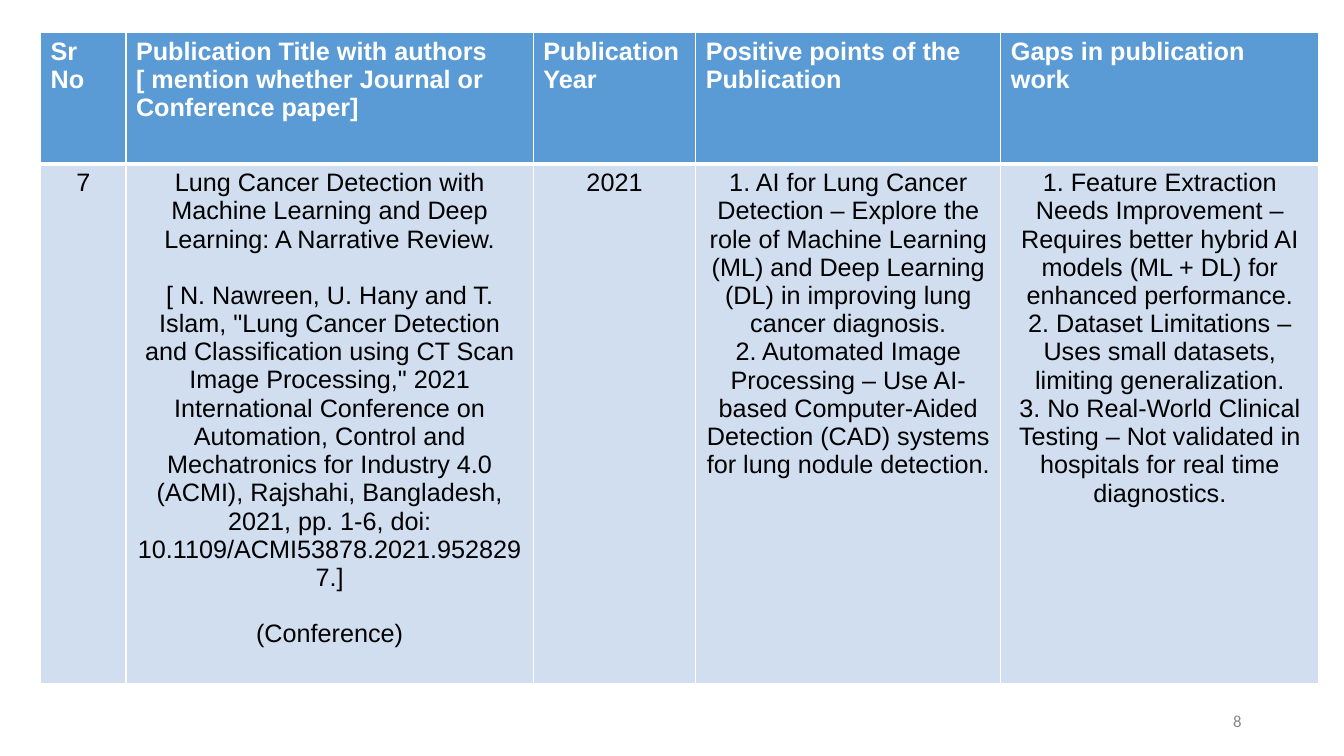
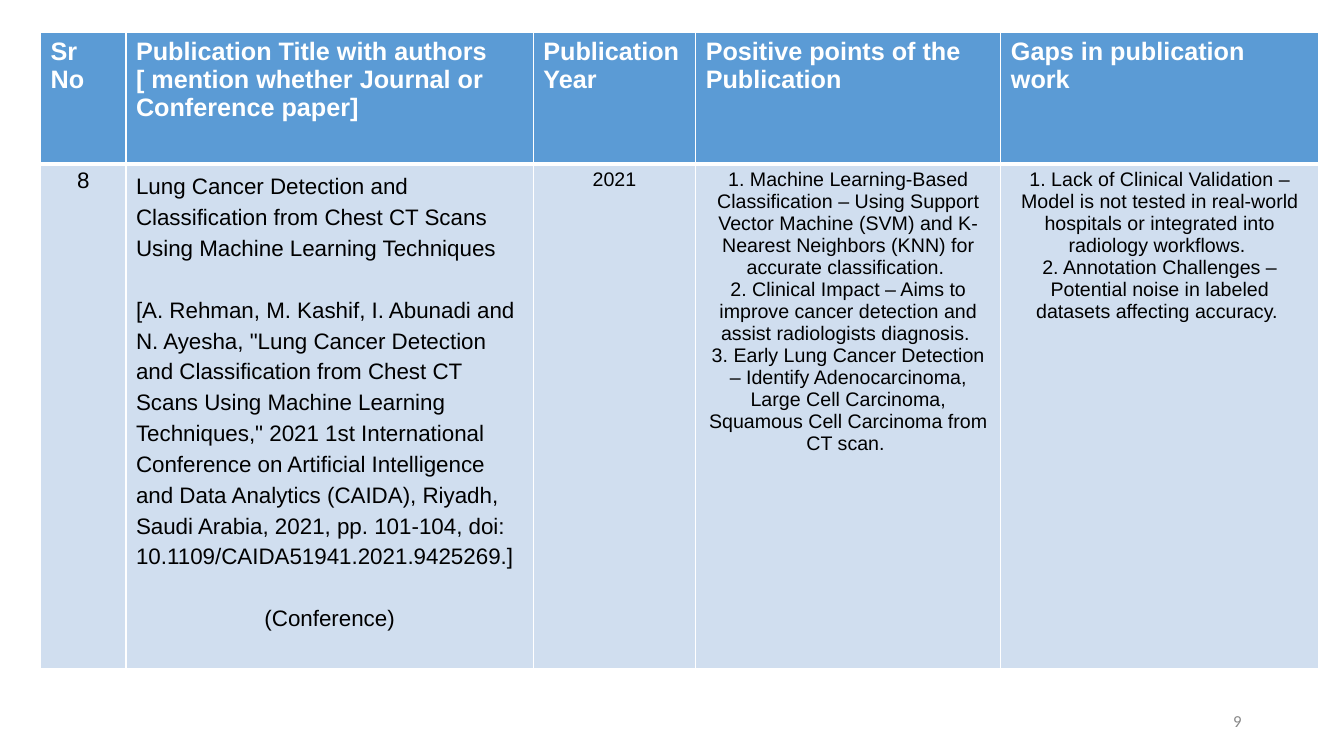
from itertools import product

from lxml import etree
from pptx import Presentation
from pptx.dml.color import RGBColor
from pptx.enum.text import MSO_ANCHOR, PP_ALIGN
from pptx.oxml.ns import qn
from pptx.util import Pt

LEFT, CENTER, RIGHT = PP_ALIGN.LEFT, PP_ALIGN.CENTER, PP_ALIGN.RIGHT
MIDDLE = MSO_ANCHOR.MIDDLE

WHITE, BLACK, GREY = "FFFFFF", "000000", "888888"
BLUE, PALE = "5B9BD5", "D0DEEF"

TABLE_BOX = (29, 23, 913, 444)
PAGE_BOX = (678, 500, 216, 29)
COLS = (61, 291, 116, 218, 227)
HEAD_TALL = 94
THIN, THICK = 1, 3

HEADS = (
    "Sr No",
    "Publication Title with authors [ mention whether Journal or Conference paper]",
    "Publication Year",
    "Positive points of the Publication",
    "Gaps in publication work",
)
HEAD_FONT = {"name": "Arial", "size": Pt(18), "bold": True}
PAGE_FONT = {"name": "Calibri", "size": Pt(12)}


def body(size):
    return {"name": "Arial", "size": Pt(size), "bold": False}


def centred(size, *texts):
    return body(size), [(text, {"alignment": CENTER}) for text in texts]


def title(size, aligns, gap, extra, texts):
    paras = []
    for num, (text, align) in enumerate(zip(texts, aligns)):
        form = {"alignment": align, **extra}
        if num:
            form["space_before"] = Pt(gap)
        paras.append((text, form))
    return body(size), paras


PAPERS = (
    ("8", (
        centred(18, "7"),
        title(18, (CENTER, CENTER, CENTER), 20, {}, (
            "Lung Cancer Detection with Machine Learning and Deep Learning: A Narrative Review.",
            "[ N. Nawreen, U. Hany and T. Islam, \"Lung Cancer Detection and Classification "
            "using CT Scan Image Processing,\" 2021 International Conference on Automation, "
            "Control and Mechatronics for Industry 4.0 (ACMI), Rajshahi, Bangladesh, 2021, "
            "pp. 1-6, doi: 10.1109/ACMI53878.2021.9528297.]",
            "(Conference)",
        )),
        centred(18, "2021"),
        centred(
            18,
            "1. AI for Lung Cancer Detection – Explore the role of Machine Learning (ML) and "
            "Deep Learning (DL) in improving lung cancer diagnosis.",
            "2. Automated Image Processing – Use AI-based Computer-Aided Detection (CAD) "
            "systems for lung nodule detection.",
        ),
        centred(
            18,
            "1. Feature Extraction Needs Improvement – Requires better hybrid AI models "
            "(ML + DL) for enhanced performance.",
            "2. Dataset Limitations – Uses small datasets, limiting generalization.",
            "3. No Real-World Clinical Testing – Not validated in hospitals for real time "
            "diagnostics.",
        ),
    )),
    ("9", (
        centred(16, "8"),
        title(16, (LEFT, LEFT, CENTER), 22, {"line_spacing": 1.24}, (
            "Lung Cancer Detection and Classification from Chest CT Scans Using Machine "
            "Learning Techniques",
            "[A. Rehman, M. Kashif, I. Abunadi and N. Ayesha, \"Lung Cancer Detection and "
            "Classification from Chest CT Scans Using Machine Learning Techniques,\" 2021 1st "
            "International Conference on Artificial Intelligence and Data Analytics (CAIDA), "
            "Riyadh, Saudi Arabia, 2021, pp. 101-104, doi: 10.1109/CAIDA51941.2021.9425269.]",
            "(Conference)",
        )),
        centred(14, "2021"),
        centred(
            14,
            "1. Machine Learning-Based Classification – Using Support Vector Machine (SVM) "
            "and K-Nearest Neighbors (KNN) for accurate classification. ",
            "2. Clinical Impact – Aims to improve cancer detection and assist radiologists "
            "diagnosis. ",
            "3. Early Lung Cancer Detection – Identify Adenocarcinoma, Large Cell Carcinoma, "
            "Squamous Cell Carcinoma from CT scan. ",
        ),
        centred(
            14,
            "1. Lack of Clinical Validation – Model is not tested in real-world hospitals or "
            "integrated into radiology workflows. ",
            "2. Annotation Challenges – Potential noise in labeled datasets affecting accuracy. ",
        ),
    )),
)


def paint(target, tone):
    target.rgb = RGBColor.from_string(tone)


def apply(target, form):
    for name, value in form.items():
        setattr(target, name, value)


def write(frame, paras, font, tone):
    for num, (text, form) in enumerate(paras):
        para = frame.paragraphs[0] if num == 0 else frame.add_paragraph()
        apply(para, form)
        run = para.add_run()
        run.text = text
        apply(run.font, font)
        paint(run.font.color, tone)


def edge(cell, widths):
    props = cell._tc.get_or_add_tcPr()
    for num, (side, width) in enumerate(widths.items()):
        line = etree.Element(qn("a:ln" + side), w=str(Pt(width)))
        fill = etree.SubElement(line, qn("a:solidFill"))
        etree.SubElement(fill, qn("a:srgbClr"), val=WHITE)
        props.insert(num, line)


def add_table(slide, box, cells):
    left, top, wide, tall = box
    frame = slide.shapes.add_table(2, len(COLS), Pt(left), Pt(top), Pt(wide), Pt(tall))
    table = frame.table
    apply(table, {"first_row": False, "horz_banding": False})
    for col, part in zip(table.columns, COLS):
        col.width = Pt(wide * part / sum(COLS))
    for row, height in zip(table.rows, (HEAD_TALL, tall - HEAD_TALL)):
        row.height = Pt(height)
    heads = [(HEAD_FONT, [(text, {"alignment": LEFT})]) for text in HEADS]
    looks = (
        (heads, BLUE, WHITE, {"L": THIN, "R": THIN, "T": THIN, "B": THICK}),
        (cells, PALE, BLACK, {"L": THIN, "R": THIN, "T": THICK, "B": THIN}),
    )
    for row, col in product(range(2), range(len(COLS))):
        items, back, tone, widths = looks[row]
        font, paras = items[col]
        cell = table.cell(row, col)
        cell.fill.solid()
        paint(cell.fill.fore_color, back)
        edge(cell, widths)
        write(cell.text_frame, paras, font, tone)


def add_page(slide, box, page):
    frame = slide.shapes.add_textbox(*map(Pt, box)).text_frame
    apply(frame, {"word_wrap": True, "vertical_anchor": MIDDLE})
    write(frame, [(page, {"alignment": RIGHT})], PAGE_FONT, GREY)


def main():
    deck = Presentation()
    apply(deck, {"slide_width": Pt(960), "slide_height": Pt(540)})
    for page, cells in PAPERS:
        slide = deck.slides.add_slide(deck.slide_layouts[6])
        add_page(slide, PAGE_BOX, page)
        add_table(slide, TABLE_BOX, cells)
    deck.save("out.pptx")


if __name__ == "__main__":
    main()
